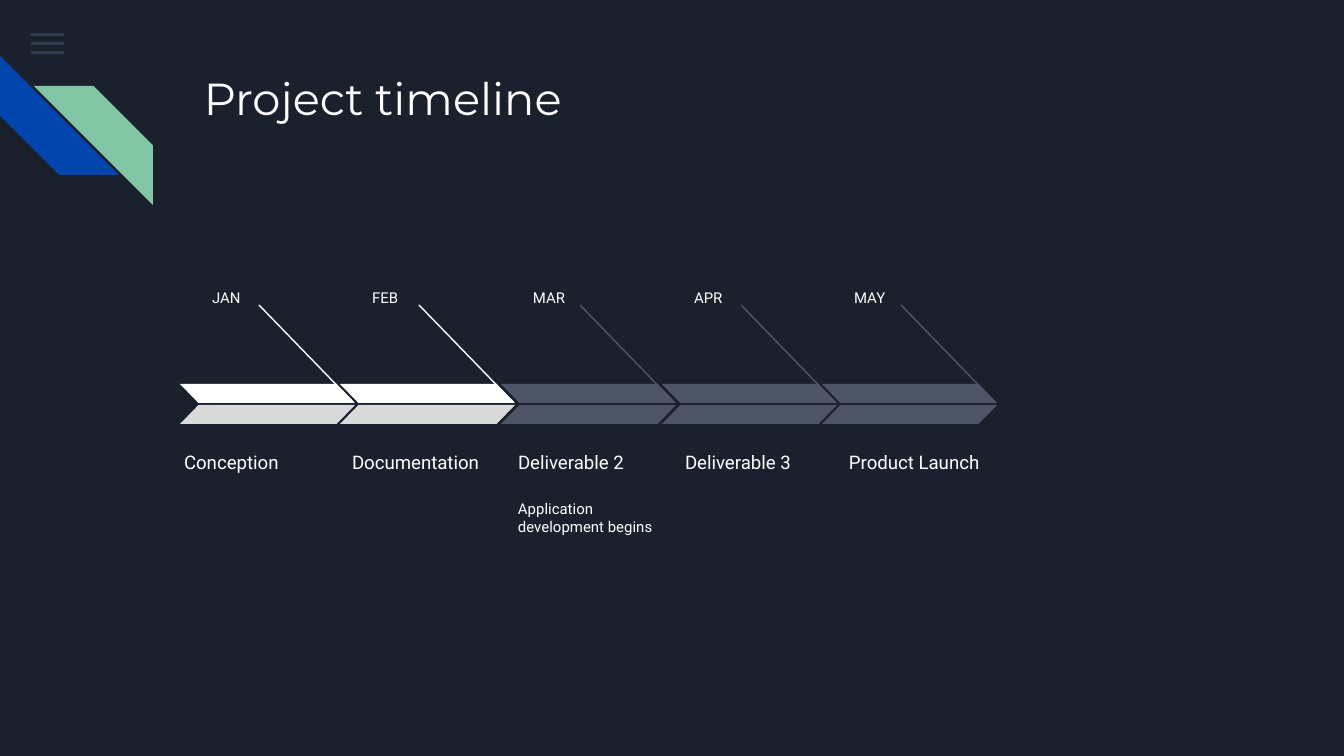
from dataclasses import dataclass

from lxml import etree
from pptx import Presentation
from pptx.dml.color import RGBColor
from pptx.enum.shapes import MSO_CONNECTOR, MSO_SHAPE
from pptx.enum.text import MSO_ANCHOR
from pptx.oxml.ns import qn
from pptx.shapes.autoshape import Shape
from pptx.slide import Slide
from pptx.util import Pt

EMU_PER_PX = 914400 / 134.4
SLIDE_WIDTH, SLIDE_HEIGHT = 1344, 756
INSET = 13

RECTANGLE = MSO_SHAPE.RECTANGLE
STRIPE = MSO_SHAPE.DIAGONAL_STRIPE
PARALLELOGRAM = MSO_SHAPE.PARALLELOGRAM
STRAIGHT = MSO_CONNECTOR.STRAIGHT
TOP, BOTTOM = MSO_ANCHOR.TOP, MSO_ANCHOR.BOTTOM

NIGHT = RGBColor(0x1B, 0x21, 0x2C)
WHITE = RGBColor(0xFF, 0xFF, 0xFF)
LIGHT_GRAY = RGBColor(0xD9, 0xD9, 0xD9)
SLATE = RGBColor(0x4E, 0x55, 0x67)
MENU_BLUE = RGBColor(0x55, 0x68, 0x8B)
BLUE = RGBColor(0x01, 0x45, 0xAC)
GREEN = RGBColor(0x82, 0xC7, 0xA5)


@dataclass(frozen=True)
class Area:
    left: int
    top: int
    width: int
    height: int

    def emu(self) -> list[int]:
        return [px(n) for n in (self.left, self.top, self.width, self.height)]


@dataclass(frozen=True)
class Milestone:
    month: str
    label: str
    label_left: int
    done: bool = False
    note: str = ""


MILESTONES = [
    Milestone("JAN", "Conception", 171, done=True),
    Milestone("FEB", "Documentation", 339, done=True),
    Milestone("MAR", "Deliverable 2", 505, note="Application development begins"),
    Milestone("APR", "Deliverable 3", 672),
    Milestone("MAY", "Product Launch", 836),
]
TIMELINE_SPAN = 642  # from the first milestone to the last


def px(length: int) -> int:
    return round(length * EMU_PER_PX)


def add_filled(slide: Slide, kind: MSO_SHAPE, area: Area, color: RGBColor) -> Shape:
    shape = slide.shapes.add_shape(kind, *area.emu())
    shape.shadow.inherit = False
    shape.fill.solid()
    shape.fill.fore_color.rgb = color
    shape.line.fill.background()
    return shape


def flip_horizontally(shape: Shape) -> None:
    shape.element.spPr.get_or_add_xfrm().set("flipH", "1")


def set_opacity(shape: Shape, percent: int) -> None:
    color = shape.element.spPr.find(f".//{qn('a:srgbClr')}")
    etree.SubElement(color, qn("a:alpha")).set("val", str(percent * 1000))


def add_text(slide: Slide, area: Area, text: str, size: int, font: str = "Roboto",
             anchor: MSO_ANCHOR = TOP) -> None:
    frame = slide.shapes.add_textbox(*area.emu()).text_frame
    frame.word_wrap = True
    frame.vertical_anchor = anchor
    frame.margin_left = frame.margin_right = px(INSET)
    frame.margin_top = frame.margin_bottom = px(INSET)
    frame.text = text
    run_font = frame.paragraphs[0].runs[0].font
    run_font.name = font
    run_font.size = Pt(size)
    run_font.color.rgb = WHITE


def add_pointer(slide: Slide, left: int, color: RGBColor) -> None:
    """Draw the slanted line from a month down to its arrow."""
    ends = [px(n) for n in (left, 305, left + 94, 402)]
    line = slide.shapes.add_connector(STRAIGHT, *ends)
    line.line.color.rgb = color
    line.line.width = Pt(0.75)
    etree.SubElement(line.element.spPr, qn("a:effectLst"))


def add_milestone(slide: Slide, milestone: Milestone, offset: int) -> None:
    upper_color, lower_color = (WHITE, LIGHT_GRAY) if milestone.done else (SLATE, SLATE)
    add_text(slide, Area(199 + offset, 280, 79, 31), milestone.month, 8)
    add_text(slide, Area(milestone.label_left, 426, 170, 59), milestone.label, 10,
             anchor=BOTTOM)
    if milestone.note:
        add_text(slide, Area(milestone.label_left, 487, 167, 98), milestone.note, 8)

    add_pointer(slide, 259 + offset, upper_color)
    upper = add_filled(slide, PARALLELOGRAM, Area(180 + offset, 384, 175, 19), upper_color)
    lower = add_filled(slide, PARALLELOGRAM, Area(180 + offset, 405, 175, 19), lower_color)
    upper.adjustments[0] = lower.adjustments[0] = 0.97
    flip_horizontally(upper)


def add_decoration(slide: Slide) -> None:
    for row in range(3):
        bar = add_filled(slide, RECTANGLE, Area(31, 33 + 9 * row, 33, 3), MENU_BLUE)
        set_opacity(bar, 36)
    blue_stripe = add_filled(slide, STRIPE, Area(0, 56, 119, 119), BLUE)
    blue_stripe.rotation = 270
    green_stripe = add_filled(slide, STRIPE, Area(34, 86, 119, 119), GREEN)
    flip_horizontally(green_stripe)


def main() -> None:
    deck = Presentation()
    deck.slide_width, deck.slide_height = px(SLIDE_WIDTH), px(SLIDE_HEIGHT)
    slide = deck.slides.add_slide(deck.slide_layouts[6])
    slide.background.fill.solid()
    slide.background.fill.fore_color.rgb = NIGHT

    add_decoration(slide)
    add_text(slide, Area(191, 58, 1035, 134), "Project timeline", 24, "Montserrat")
    for index, milestone in enumerate(MILESTONES):
        offset = round(index * TIMELINE_SPAN / (len(MILESTONES) - 1))
        add_milestone(slide, milestone, offset)
    deck.save("out.pptx")


if __name__ == "__main__":
    main()
